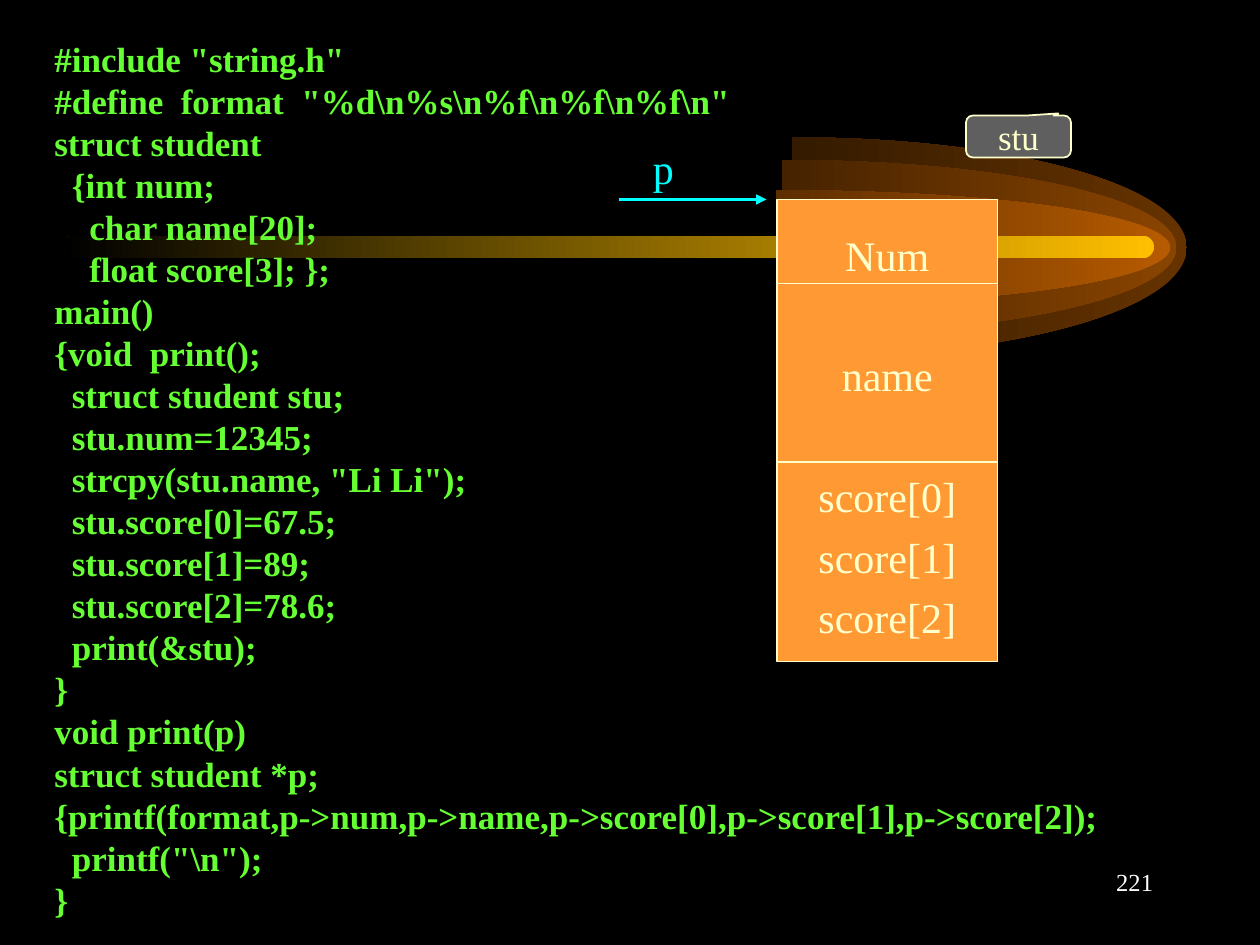
from lxml.etree import SubElement
from pptx import Presentation
from pptx.dml.color import RGBColor
from pptx.enum.shapes import MSO_CONNECTOR as Connector, MSO_SHAPE as Shape
from pptx.enum.text import MSO_ANCHOR as Anchor, PP_ALIGN as Align
from pptx.oxml.ns import qn
from pptx.util import Inches, Pt

BLACK = RGBColor(0x00, 0x00, 0x00)
WHITE = RGBColor(0xFF, 0xFF, 0xFF)
GREEN = RGBColor(0x66, 0xFF, 0x33)
CYAN = RGBColor(0x00, 0xFF, 0xFF)
CREAM = RGBColor(0xFF, 0xFF, 0xCC)
ORANGE = RGBColor(0xFF, 0x99, 0x33)
GRAY = RGBColor(0x5F, 0x5F, 0x5F)
GOLD = RGBColor(0xFF, 0xBF, 0x00)
DARK_BROWN = RGBColor(0x66, 0x33, 0x00)
BROWN = RGBColor(0x89, 0x44, 0x00)
LIGHT_BROWN = RGBColor(0xB7, 0x5B, 0x00)

CODE = r"""#include "string.h"
#define  format  "%d\n%s\n%f\n%f\n%f\n"
struct student
  {int num;
    char name[20];
    float score[3]; };
main()
{void  print();
  struct student stu;
  stu.num=12345;
  strcpy(stu.name, "Li Li");
  stu.score[0]=67.5;
  stu.score[1]=89;
  stu.score[2]=78.6;
  print(&stu);
}
void print(p)
struct student *p;
{printf(format,p->num,p->name,p->score[0],p->score[1],p->score[2]);
  printf("\n");
}"""

FIELDS = ["Num", "name", "score[0]", "score[1]", "score[2]"]
FIELD_GAP = 34.5

# Right half of an ellipse, in fractions of its frame: two Bézier quarters.
ARC_START = (0.5, 0)
ARC_QUARTERS = [[(0.78, 0), (1, 0.22), (1, 0.5)], [(1, 0.78), (0.78, 1), (0.5, 1)]]
CENTER = (0.5, 0.5)


def write(frame, lines, size=24, color=CREAM, bold=False, align=Align.LEFT,
          spacing=None, gaps=None):
    """Fill a frame; gaps maps a line number to the points before it."""
    for number, line in enumerate(lines):
        para = frame.paragraphs[0] if number == 0 else frame.add_paragraph()
        para.alignment = align
        para.line_spacing = spacing
        para.space_before = Pt((gaps or {}).get(number, 0))
        span = para.add_run()
        span.text = line
        span.font.name = "Times New Roman"
        span.font.size = Pt(size)
        span.font.bold = bold
        span.font.color.rgb = color


class Painter:
    def __init__(self, page, outline=CREAM):
        self.page = page
        self.outline = outline

    def fade(self, shape, color):
        """Fill a borderless shape with a gradient to black, running leftwards."""
        shape.shadow.inherit = False
        shape.line.fill.background()
        shape.fill.gradient()
        shape.fill.gradient_angle = 180
        for stop, shade in zip(shape.fill.gradient_stops, (color, BLACK)):
            stop.color.rgb = shade

    def half_ellipse(self, left, top, width, height, color):
        """Frame a whole ellipse and outline its right half with curves."""
        right, bottom = left + width, top + height
        corners = [(left, top), (right, top), (right, bottom), (left, bottom)]
        points = [tuple(map(Inches, corner)) for corner in corners]
        builder = self.page.shapes.build_freeform(*points[0])
        builder.add_line_segments(points[1:], close=True)
        shape = builder.convert_to_shape()
        sector = next(shape.element.iter(qn("a:path")))
        wide, high = sector.get("w"), sector.get("h")
        for step in list(sector):
            sector.remove(step)
        arc = SubElement(sector.getparent(), qn("a:path"), w=wide, h=high, fill="none")

        def draw(outline, kind, *spots):
            step = SubElement(outline, qn(kind))
            for x, y in spots:
                SubElement(step, qn("a:pt"), x=str(round(x * int(wide))),
                           y=str(round(y * int(high))))

        for outline in (sector, arc):
            draw(outline, "a:moveTo", ARC_START)
            for quarter in ARC_QUARTERS:
                draw(outline, "a:cubicBezTo", *quarter)
        draw(sector, "a:lnTo", CENTER)
        draw(sector, "a:close")
        self.fade(shape, color)

    def bar(self, left, top, width, height, color):
        shape = self.page.shapes.add_shape(
            Shape.ROUNDED_RECTANGLE, *map(Inches, (left, top, width, height)))
        shape.adjustments[0] = 0.5
        self.fade(shape, color)

    def text(self, left, top, width, height, lines, **style):
        box = self.page.shapes.add_textbox(*map(Inches, (left, top, width, height)))
        box.text_frame.word_wrap = True
        write(box.text_frame, lines, **style)

    def panel(self, kind, left, top, width, height, fill, lines, **style):
        shape = self.page.shapes.add_shape(
            kind, *map(Inches, (left, top, width, height)))
        shape.shadow.inherit = False
        shape.fill.solid()
        shape.fill.fore_color.rgb = fill
        shape.line.color.rgb = self.outline
        shape.line.width = Pt(1)
        shape.text_frame.word_wrap = False
        shape.text_frame.vertical_anchor = Anchor.MIDDLE
        write(shape.text_frame, lines, align=Align.CENTER, **style)
        return shape

    def rule(self, left, right, y, color=None, weight=1, arrow=False):
        line = self.page.shapes.add_connector(
            Connector.STRAIGHT, *map(Inches, (left, y, right, y)))
        line.line.color.rgb = color or self.outline
        line.line.width = Pt(weight)
        properties = line.element.spPr
        if arrow:
            SubElement(properties.get_or_add_ln(), qn("a:tailEnd"), type="triangle")
        SubElement(properties, qn("a:effectLst"))


def main():
    deck = Presentation()
    deck.slide_width, deck.slide_height = Inches(10), Inches(7.5)
    page = deck.slides.add_slide(deck.slide_layouts[6])
    page.background.fill.solid()
    page.background.fill.fore_color.rgb = BLACK
    painter = Painter(page)

    for left, top, height, color in [(3.16, 1.09, 1.75, DARK_BROWN),
                                     (3.08, 1.27, 1.39, BROWN),
                                     (3.03, 1.51, 0.91, LIGHT_BROWN)]:
        painter.half_ellipse(left, top, 6.26, height, color)
    painter.bar(0.5, 1.87, 8.66, 0.18, GOLD)

    painter.text(1 / 3, 0.25, 9, 7.11, CODE.split("\n"), size=20, color=GREEN, bold=True)

    left, top, width = 37 / 6, 19 / 12, 1.75
    painter.panel(Shape.RECTANGLE, left, top, width, 11 / 3, ORANGE, FIELDS,
                  spacing=1.2, gaps={1: FIELD_GAP, 2: FIELD_GAP})
    for y in (2.25, 11 / 3):
        painter.rule(left, left + width, y)

    painter.rule(59 / 12, 73 / 12, top, color=CYAN, weight=1.5, arrow=True)
    painter.text(61 / 12, 13 / 12, 0.5, 0.5, ["p"], color=CYAN)

    callout = painter.panel(Shape.ROUNDED_RECTANGULAR_CALLOUT, 23 / 3, 11 / 12, 5 / 6,
                            1 / 3, GRAY, ["stu"], size=20)
    for index, value in enumerate((0.38, -0.55, 0.17)):
        callout.adjustments[index] = value

    painter.text(43 / 6, 41 / 6, 25 / 12, 0.5, ["221"], size=14, color=WHITE,
                 align=Align.RIGHT)
    deck.save("out.pptx")


if __name__ == "__main__":
    main()
